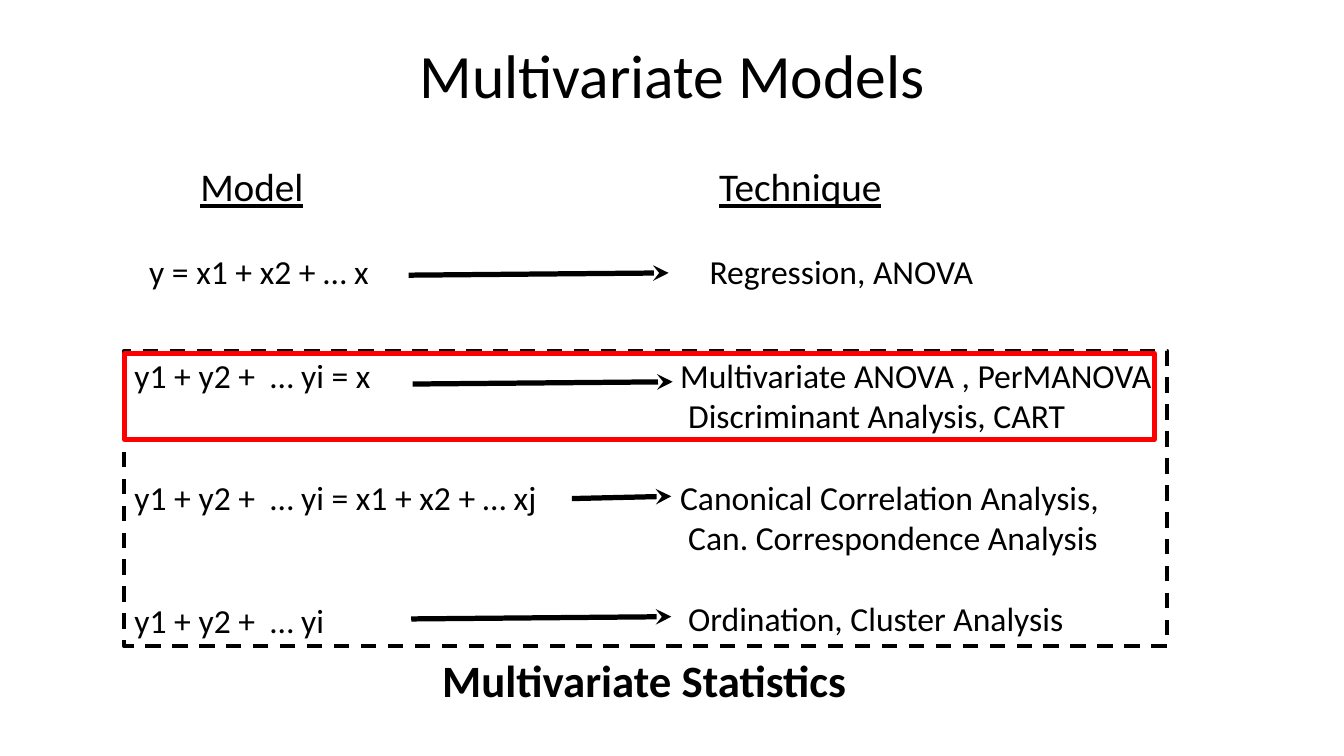
"""Build the slide that pairs multivariate models with their techniques."""
import pptx
import pptx.dml.color
import pptx.enum.dml
import pptx.enum.shapes
import pptx.enum.text
import pptx.oxml
import pptx.oxml.ns
import pptx.util

BLACK = pptx.dml.color.RGBColor(0, 0, 0)
RED = pptx.dml.color.RGBColor(255, 0, 0)
FONT = "Calibri"
SLIDE_WIDTH = pptx.util.Inches(13.33)
SLIDE_HEIGHT = pptx.util.Inches(7.5)
COLUMN = SLIDE_WIDTH / 100
ROW = SLIDE_HEIGHT / 100
BODY_SIZE = 24
LINE = BODY_SIZE * 1.22
FIRST_GAP = 45.5

MODEL_LINES = [
    ("y = x1 + x2 + … x", 1.1, 0),
    ("y1 + y2 +  … yi = x", 0, FIRST_GAP),
    ("y1 + y2 +  … yi = x1 + x2 + … xj", 0, 2 * LINE),
    ("y1 + y2 +  … yi", 0, 2 * LINE),
]
TECHNIQUE_LINES = [
    ("Regression, ANOVA", 2.2, 0),
    ("Multivariate ANOVA , PerMANOVA", 0, FIRST_GAP),
    ("Discriminant Analysis, CART", 0.6, 0),
    ("Canonical Correlation Analysis,", 0, LINE),
    ("Can. Correspondence Analysis", 0.6, 0),
    ("Ordination, Cluster Analysis", 0.6, LINE),
]
ARROWS = [
    (30.4, 36.4, 49.75),
    (30.7, 50.8, 50.05),
    (42.55, 65.95, 49.95),
    (30.6, 81.87, 49.95),
]


def grid(column, row):
    """Turn a column and a row of the grid into lengths."""
    return round(column * COLUMN), round(row * ROW)


def place(holder, left, top, width, height):
    """Move a text holder onto the grid and clear its margins."""
    holder.left, holder.top = grid(left, top)
    holder.width, holder.height = grid(width, height)
    frame = holder.text_frame
    frame.word_wrap = True
    frame.auto_size = pptx.enum.text.MSO_AUTO_SIZE.NONE
    frame.vertical_anchor = pptx.enum.text.MSO_ANCHOR.TOP
    frame.margin_left = frame.margin_right = 0
    frame.margin_top = frame.margin_bottom = 0
    return frame


def write(paragraph, words, size, bold=False, underline=False, indent=0, gap=0):
    """Write one run in a paragraph without a bullet."""
    paragraph.line_spacing = 1.0
    paragraph.space_before = pptx.util.Pt(gap)
    paragraph.space_after = pptx.util.Pt(0)
    properties = paragraph._p.get_or_add_pPr()
    properties.set("marL", str(round(indent * COLUMN)))
    properties.set("indent", "0")
    pptx.oxml.ns.qn("a:buNone")
    properties.append(pptx.oxml.parse_xml(
        f'<a:buNone {pptx.oxml.ns.nsdecls("a")}/>'))
    run = paragraph.add_run()
    run.text = words
    run.font.name = FONT
    run.font.size = pptx.util.Pt(size)
    run.font.bold = bold
    run.font.underline = underline
    run.font.color.rgb = BLACK


def fill_list(holder, lines, *area):
    """Fill a body placeholder with indented, spaced lines."""
    frame = place(holder, *area)
    for number, (words, indent, gap) in enumerate(lines):
        paragraph = frame.add_paragraph() if number else frame.paragraphs[0]
        write(paragraph, words, BODY_SIZE, indent=indent, gap=gap)


def add_frame(slide, left, top, width, height, color, weight, dash=None):
    """Draw an unfilled rectangle around a group of models."""
    border = slide.shapes.add_shape(
        pptx.enum.shapes.MSO_SHAPE.RECTANGLE,
        *grid(left, top), *grid(width, height))
    border.shadow.inherit = False
    border.fill.background()
    border.line.color.rgb = color
    border.line.width = pptx.util.Pt(weight)
    if dash is not None:
        border.line.dash_style = dash


def add_arrow(slide, start, level, end):
    """Draw a slightly rising arrow from a model to its technique."""
    arrow = slide.shapes.add_connector(
        pptx.enum.shapes.MSO_CONNECTOR.STRAIGHT,
        *grid(start, level), *grid(end, level - 0.3))
    arrow.line.color.rgb = BLACK
    arrow.line.width = pptx.util.Pt(3.75)
    namespace = pptx.oxml.ns.nsdecls("a")
    arrow.line._get_or_add_ln().append(
        pptx.oxml.parse_xml(f'<a:tailEnd {namespace} type="stealth"/>'))
    arrow._element.spPr.append(
        pptx.oxml.parse_xml(f"<a:effectLst {namespace}/>"))


def main():
    """Lay out the slide and save it."""
    deck = pptx.Presentation()
    deck.slide_width, deck.slide_height = SLIDE_WIDTH, SLIDE_HEIGHT
    slide = deck.slides.add_slide(deck.slide_layouts[4])
    title, model_head, models, technique_head, techniques = slide.placeholders

    heading = place(title, 6.9, 6, 86.25, 18).paragraphs[0]
    heading.alignment = pptx.enum.text.PP_ALIGN.CENTER
    write(heading, "Multivariate Models", 44)
    heading.line_spacing = 0.9

    for holder, words, left in ((model_head, "Model", 14.9),
                                (technique_head, "Technique", 53.5)):
        write(place(holder, left, 21.5, 20, 6.5).paragraphs[0],
              words, 28, underline=True)
    fill_list(models, MODEL_LINES, 10, 33.2, 32, 52)
    fill_list(techniques, TECHNIQUE_LINES, 50.6, 33.2, 40, 52)

    add_frame(slide, 9.25, 46.4, 77.6, 39.1, BLACK, 2.75,
              pptx.enum.dml.MSO_LINE.DASH)
    for start, level, end in ARROWS:
        add_arrow(slide, start, level, end)
    add_frame(slide, 9.25, 46.8, 76.65, 11.3, RED, 3.75)

    caption = slide.shapes.add_textbox(0, 0, 0, 0)
    write(place(caption, 32.9, 86.3, 32, 8).paragraphs[0],
          "Multivariate Statistics", 32, bold=True)
    deck.save("out.pptx")


if __name__ == "__main__":
    main()
